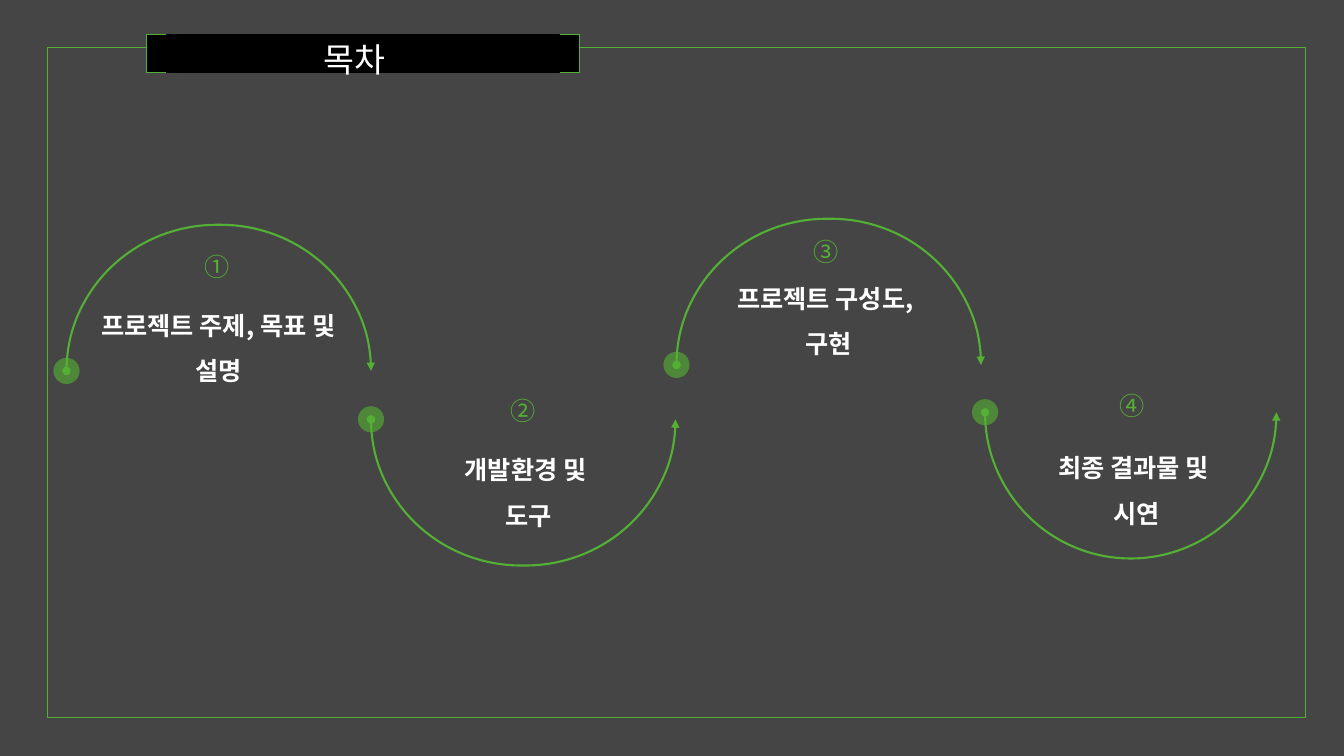
from pptx import Presentation
from pptx.dml.color import RGBColor
from pptx.enum.shapes import MSO_SHAPE
from pptx.enum.text import MSO_AUTO_SIZE, PP_ALIGN
from pptx.oxml import parse_xml
from pptx.oxml.ns import nsdecls
from pptx.util import Inches, Pt

RECT, OVAL, ARC = MSO_SHAPE.RECTANGLE, MSO_SHAPE.OVAL, MSO_SHAPE.RIGHT_BRACKET
LEFT, MID = PP_ALIGN.LEFT, PP_ALIGN.CENTER
GROW = MSO_AUTO_SIZE.SHAPE_TO_FIT_TEXT
FONT = "Noto Sans CJK KR"
HEX = {"back": "454545", "green": "54B034", "white": "FFFFFF", "black": "000000"}
RGB = {name: RGBColor.from_string(code) for name, code in HEX.items()}
WIDE, HIGH = 13.33, 7.5

deck = Presentation()
deck.slide_width, deck.slide_height = Inches(WIDE), Inches(HIGH)
slide = deck.slides.add_slide(deck.slide_layouts[6])
slide.background.fill.solid()
slide.background.fill.fore_color.rgb = RGB["back"]


def add_text(text, left, top, width, height, size=18, color="white",
             bold=False, align=MID, space=1.5):
    box = slide.shapes.add_textbox(*map(Inches, (left, top, width, height)))
    frame = box.text_frame
    frame.word_wrap, frame.auto_size = True, GROW
    for i, line in enumerate(text.split("\n")):
        para = frame.paragraphs[0] if i == 0 else frame.add_paragraph()
        para.alignment, para.line_spacing = align, space
        run = para.add_run()
        run.text = line
        font = run.font
        font.name, font.size, font.bold = FONT, Pt(size), bold
        font.color.rgb = RGB[color]
        font._element.append(parse_xml(f'<a:ea {nsdecls("a")} typeface="{FONT}"/>'))


def add_shape(home, kind, left, top, width, height, fill=None, line=None):
    shape = home.shapes.add_shape(kind, *map(Inches, (left, top, width, height)))
    shape.shadow.inherit = False
    if fill:
        shape.fill.solid()
        shape.fill.fore_color.rgb = RGB[fill]
    else:
        shape.fill.background()
    if line:
        shape.line.color.rgb, shape.line.width = RGB["green"], Pt(line)
    else:
        shape.line.fill.background()
    return shape


# Frame
EDGE = 0.47
add_shape(slide, RECT, EDGE, EDGE, 12.48, 6.65, line=0.75)

# Title bar: a table with green brackets at both ends
COLS = [0.2, 3.9, 0.2]
SIDES = ["LTB", "", "RTB"]
bar = slide.shapes.add_table(1, 3, Inches(1.45), Inches(0.34),
                             Inches(sum(COLS)), Inches(0.38)).table
bar.first_row = bar.horz_banding = False
for i, (width, sides) in enumerate(zip(COLS, SIDES)):
    bar.columns[i].width = Inches(width)
    cell = bar.cell(0, i)
    cell.margin_left = cell.margin_right = cell.margin_top = cell.margin_bottom = 0
    cell.fill.solid()
    cell.fill.fore_color.rgb = RGB["black"]
    props = cell._tc.get_or_add_tcPr()
    for n, side in enumerate("LRTB"):
        paint = (f'<a:solidFill><a:srgbClr val="{HEX["green"]}"/></a:solidFill>'
                 if side in sides else "<a:noFill/>")
        props.insert(n, parse_xml(
            f'<a:ln{side} {nsdecls("a")} w="{Pt(0.75)}">{paint}</a:ln{side}>'))
add_text("목차", 1.41, 0.14, 4.22, 0.64, size=24)

# Steps: start of the arc, its span, number place, label place and width
DOT, RISE = 0.26, 1.45
STEPS = [
    ("①", "프로젝트 주제, 목표 및 설명", 0.66, 3.68, 3.02, (1.93, 2.44), (0.78, 2.88, 2.77)),
    ("②", "개발환경 및 \n도구", 3.68, 4.16, 3.02, (4.96, 3.87), (3.73, 4.31, 3.02)),
    ("③", "프로젝트 구성도, \n구현", 6.71, 3.62, 3.02, (7.97, 2.3), (6.91, 2.61, 2.61)),
    ("④", "최종 결과물 및 \n시연", 9.77, 4.09, 2.89, (11, 3.82), (9.76, 4.29, 3.02)),
]
for i, (mark, label, x, y, span, spot, place) in enumerate(STEPS):
    down = i % 2 == 1
    group = slide.shapes.add_group_shape()

    # Pale dot around the start
    dot = add_shape(group, OVAL, x - DOT / 2, y - DOT / 2, DOT, DOT, fill="green")
    tint = dot._element.spPr.find(".//{*}srgbClr")
    tint.append(parse_xml(f'<a:alpha {nsdecls("a")} val="62000"/>'))

    # Half circle, a bracket turned on its side
    mid = y + RISE / 2 if down else y - RISE / 2
    arc = add_shape(group, ARC, x + (span - RISE) / 2, mid - span / 2,
                    RISE, span, line=1.5)
    arc.adjustments[0] = 1.028
    arc.rotation = 90 if down else 270
    if down:
        arc._element.spPr.xfrm.set("flipV", "1")
    stroke = arc.line._get_or_add_ln()
    for end, kind in (("headEnd", "oval"), ("tailEnd", "triangle")):
        stroke.append(parse_xml(f'<a:{end} {nsdecls("a")} type="{kind}"/>'))

    add_text(label, *place, 0.95, bold=True)
    add_text(mark, *spot, 0.42, 0.4, color="green", align=LEFT, space=1)

deck.save("out.pptx")
